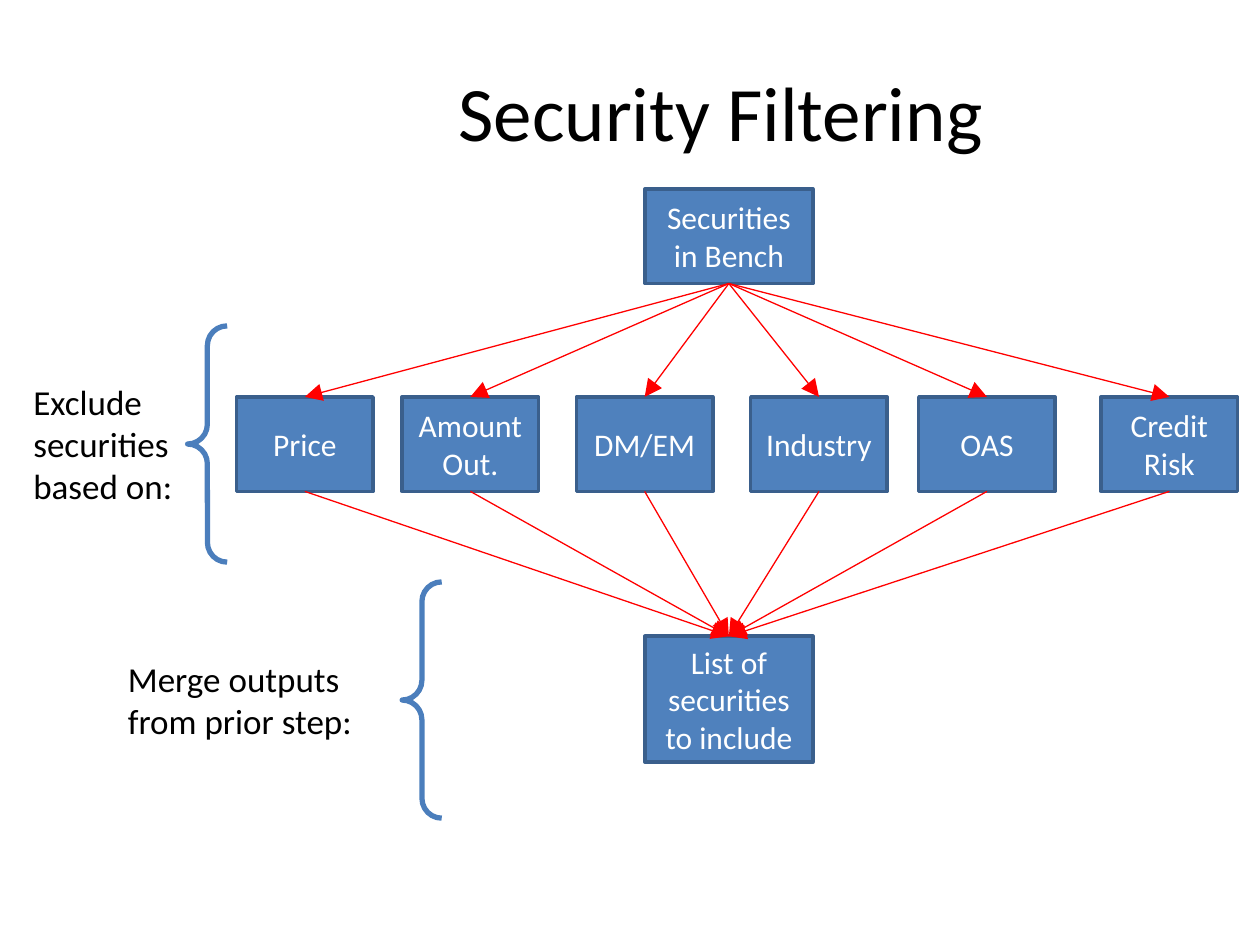
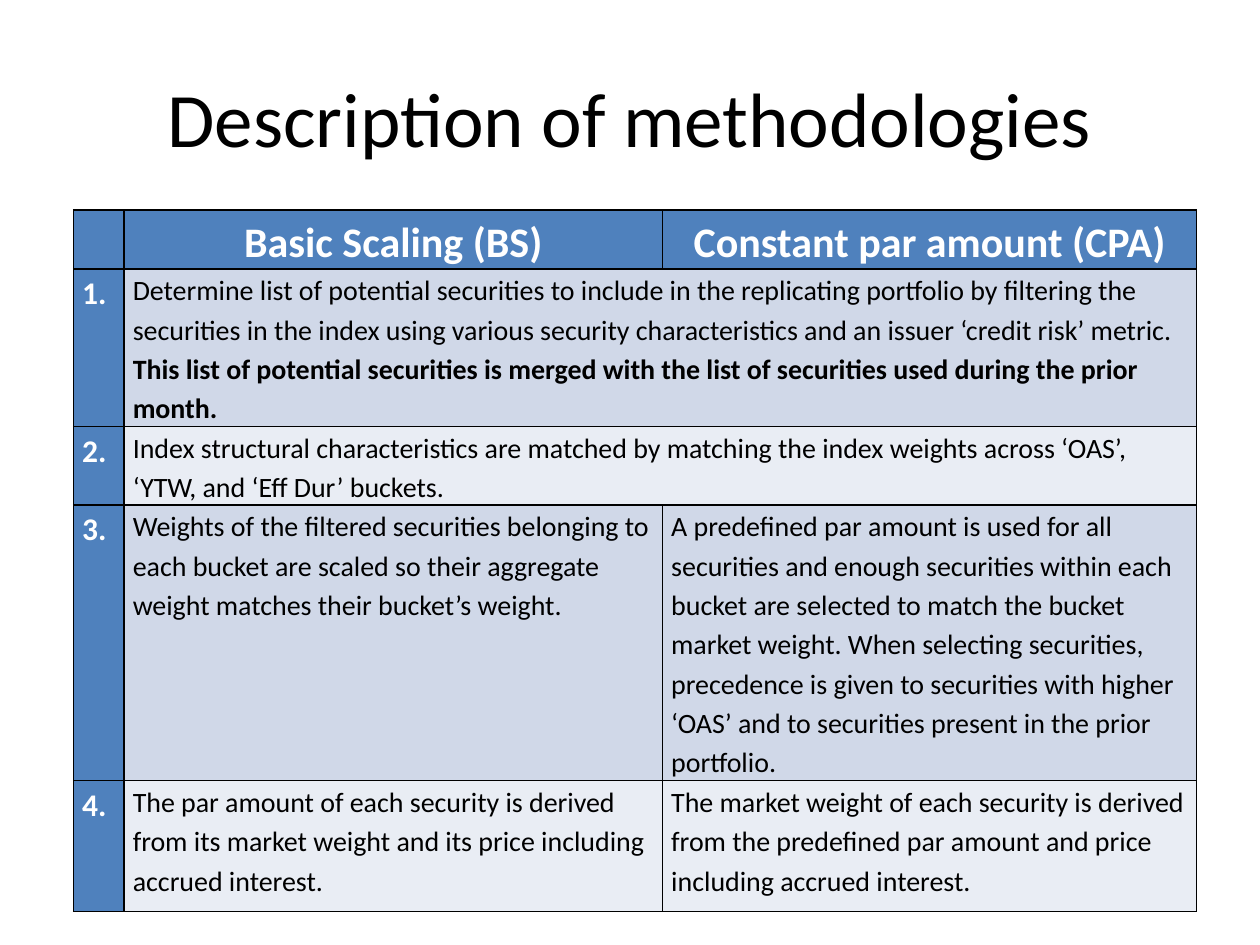
from dataclasses import dataclass
from typing import NamedTuple

from pptx import Presentation
from pptx.dml.color import RGBColor
from pptx.enum.shapes import MSO_CONNECTOR as Connector, MSO_SHAPE as Preset
from pptx.enum.text import MSO_ANCHOR as Anchor, PP_ALIGN as Align
from pptx.oxml import parse_xml
from pptx.oxml.ns import nsdecls, qn
from pptx.shapes.autoshape import Shape
from pptx.slide import Slide
from pptx.table import _Cell as Cell
from pptx.util import Pt


@dataclass(frozen=True)
class Theme:
    font: str = "Calibri"
    black: RGBColor = RGBColor.from_string("000000")
    white: RGBColor = RGBColor.from_string("FFFFFF")
    blue: RGBColor = RGBColor.from_string("4F81BD")
    outline: RGBColor = RGBColor.from_string("3A5F8C")
    brace: RGBColor = RGBColor.from_string("4B7EBC")
    arrow: RGBColor = RGBColor.from_string("FF0000")
    bands: tuple = (RGBColor.from_string("D0D8E8"), RGBColor.from_string("E9EDF4"))
    title: int = 44
    heading: int = 24
    label: int = 20
    box: int = 18
    body: int = 16


THEME = Theme()


class Area(NamedTuple):
    left: float
    top: float
    width: float
    height: float

    def lengths(self) -> list:
        return [Pt(value) for value in self]


class Stage(NamedTuple):
    text: str
    label: Area
    brace: Area


class Step(NamedTuple):
    number: str
    basic: str
    constant: str = ""
    emphasis: str = ""


BRACE_WIDTH = 22.6
BRACE_HEIGHT = 135
SOURCE = Area(368.5, 108, 96, 54)
RESULT = Area(368.5, 363.6, 96, 72)
CRITERIA = {
    "Price": 135.2,
    "Amount Out.": 229.8,
    "DM/EM": 329.4,
    "Industry": 429,
    "OAS": 525,
    "Credit Risk": 629.2,
}
STAGES = [
    Stage("Exclude securities based on:", Area(12, 213.8, 95.2, 80),
          Area(107.2, 186.2, BRACE_WIDTH, BRACE_HEIGHT)),
    Stage("Merge outputs from prior step:", Area(66, 372.2, 147, 55.4),
          Area(229.8, 332.5, BRACE_WIDTH, BRACE_HEIGHT)),
]
HEADINGS = ["Basic Scaling (BS)", "Constant par amount (CPA)"]
STEPS = [
    Step("1.", "Determine list of potential securities to include in the replicating "
         "portfolio by filtering the securities in the index using various security "
         "characteristics and an issuer ‘credit risk’ metric. ",
         emphasis="This list of potential securities is merged with the list of "
         "securities used during the prior month."),
    Step("2.", "Index structural characteristics are matched by matching the index "
         "weights across ‘OAS’, ‘YTW, and ‘Eff Dur’ buckets."),
    Step("3.", "Weights of the filtered securities belonging to each bucket are scaled "
         "so their aggregate weight matches their bucket’s weight.",
         "A predefined par amount is used for all securities and enough securities "
         "within each bucket are selected to match the bucket market weight. When "
         "selecting securities, precedence is given to securities with higher ‘OAS’ "
         "and to securities present in the prior portfolio."),
    Step("4.", "The par amount of each security is derived from its market weight and "
         "its price including accrued interest.",
         "The market weight of each security is derived from the predefined par amount "
         "and price including accrued interest."),
]
COLUMN_WIDTHS = [28.9, 307.7, 305.3]
ROW_HEIGHTS = [33.6, 90, 44.8, 157.2, 74.9]


def style_paragraph(paragraph, size: int, color: RGBColor, align: Align) -> None:
    paragraph.alignment = align
    paragraph.font.name = THEME.font
    paragraph.font.size = Pt(size)
    paragraph.font.color.rgb = color


def add_text(slide: Slide, area: Area, text: str, size: int,
             align: Align = Align.LEFT, anchor: Anchor = Anchor.TOP) -> None:
    frame = slide.shapes.add_textbox(*area.lengths()).text_frame
    frame.word_wrap = True
    frame.vertical_anchor = anchor
    frame.text = text
    style_paragraph(frame.paragraphs[0], size, THEME.black, align)


def add_title(slide: Slide, area: Area, text: str) -> None:
    add_text(slide, area, text, THEME.title, Align.CENTER, Anchor.MIDDLE)


def add_box(slide: Slide, area: Area, text: str) -> Shape:
    box = slide.shapes.add_shape(Preset.RECTANGLE, *area.lengths())
    box.shadow.inherit = False
    box.fill.solid()
    box.fill.fore_color.rgb = THEME.blue
    box.line.color.rgb = THEME.outline
    box.line.width = Pt(2)
    box.text_frame.word_wrap = True
    box.text_frame.vertical_anchor = Anchor.MIDDLE
    box.text_frame.text = text
    style_paragraph(box.text_frame.paragraphs[0], THEME.box, THEME.white, Align.CENTER)
    return box


def add_arrow(slide: Slide, start: Shape, end: Shape) -> None:
    arrow = slide.shapes.add_connector(Connector.STRAIGHT, 0, 0, 0, 0)
    arrow.begin_connect(start, 2)
    arrow.end_connect(end, 0)
    arrow.line.color.rgb = THEME.arrow
    arrow.line.width = Pt(0.75)
    properties = arrow.element.spPr
    properties.find(qn("a:ln")).append(
        parse_xml(f'<a:tailEnd {nsdecls("a")} type="triangle" w="lg" len="lg"/>'))
    properties.append(parse_xml(f'<a:effectLst {nsdecls("a")}/>'))


def add_brace(slide: Slide, area: Area) -> None:
    brace = slide.shapes.add_shape(Preset.LEFT_BRACE, *area.lengths())
    brace.adjustments[0] = 0.5
    brace.shadow.inherit = False
    brace.fill.background()
    brace.line.color.rgb = THEME.brace
    brace.line.width = Pt(3)


def add_borders(cell: Cell) -> None:
    properties = cell._tc.get_or_add_tcPr()
    for side in "LRTB":
        properties.append(parse_xml(
            f'<a:ln{side} {nsdecls("a")} w="{Pt(1)}"><a:solidFill>'
            f'<a:srgbClr val="{THEME.black}"/></a:solidFill></a:ln{side}>'))


def format_cell(cell: Cell, fill: RGBColor) -> None:
    add_borders(cell)
    cell.fill.solid()
    cell.fill.fore_color.rgb = fill
    cell.margin_left = cell.margin_right = Pt(5)
    cell.margin_top = cell.margin_bottom = 0


def write_cell(cell: Cell, text: str, size: int, color: RGBColor, bold: bool,
               align: Align = Align.LEFT, emphasis: str = "") -> None:
    paragraph = cell.text_frame.paragraphs[0]
    style_paragraph(paragraph, size, color, align)
    paragraph.line_spacing = 1.15
    paragraph.space_after = Pt(10)
    for content, weight in ((text, bold), (emphasis, True)):
        if content:
            run = paragraph.add_run()
            run.text = content
            run.font.bold = weight


def build_filtering(slide: Slide) -> None:
    add_title(slide, Area(150, 18, 524, 90), "Security Filtering")
    source = add_box(slide, SOURCE, "Securities in Bench")
    result = add_box(slide, RESULT, "List of securities to include")
    for text, left in CRITERIA.items():
        criterion = add_box(slide, Area(left, 226.8, 78, 54), text)
        add_arrow(slide, source, criterion)
        add_arrow(slide, criterion, result)
    for stage in STAGES:
        add_brace(slide, stage.brace)
        add_text(slide, stage.label, stage.text, THEME.label)


def build_methodologies(slide: Slide) -> None:
    area = Area(42, 120, sum(COLUMN_WIDTHS), sum(ROW_HEIGHTS))
    table = slide.shapes.add_table(
        len(ROW_HEIGHTS), len(COLUMN_WIDTHS), *area.lengths()).table
    for column, width in zip(table.columns, COLUMN_WIDTHS):
        column.width = Pt(width)
    for index, height in enumerate(ROW_HEIGHTS):
        table.rows[index].height = Pt(height)
        for column in range(len(COLUMN_WIDTHS)):
            is_header = index == 0 or column == 0
            format_cell(table.cell(index, column),
                        THEME.blue if is_header else THEME.bands[(index - 1) % 2])
    for column, heading in enumerate(HEADINGS, 1):
        write_cell(table.cell(0, column), heading, THEME.heading, THEME.white, True,
                   Align.CENTER)
    for index, step in enumerate(STEPS, 1):
        number, basic, constant = (table.cell(index, column) for column in range(3))
        write_cell(number, step.number, THEME.box, THEME.white, True)
        write_cell(basic, step.basic, THEME.body, THEME.black, False,
                   emphasis=step.emphasis)
        if step.constant:
            write_cell(constant, step.constant, THEME.body, THEME.black, False)
        else:
            basic.merge(constant)
    add_title(slide, Area(36, 21.6, 648, 90), "Description of methodologies")


def main() -> None:
    presentation = Presentation()
    presentation.slide_width, presentation.slide_height = Pt(720), Pt(540)
    blank = presentation.slide_layouts[6]
    for build in (build_filtering, build_methodologies):
        build(presentation.slides.add_slide(blank))
    presentation.save("out.pptx")


if __name__ == "__main__":
    main()
